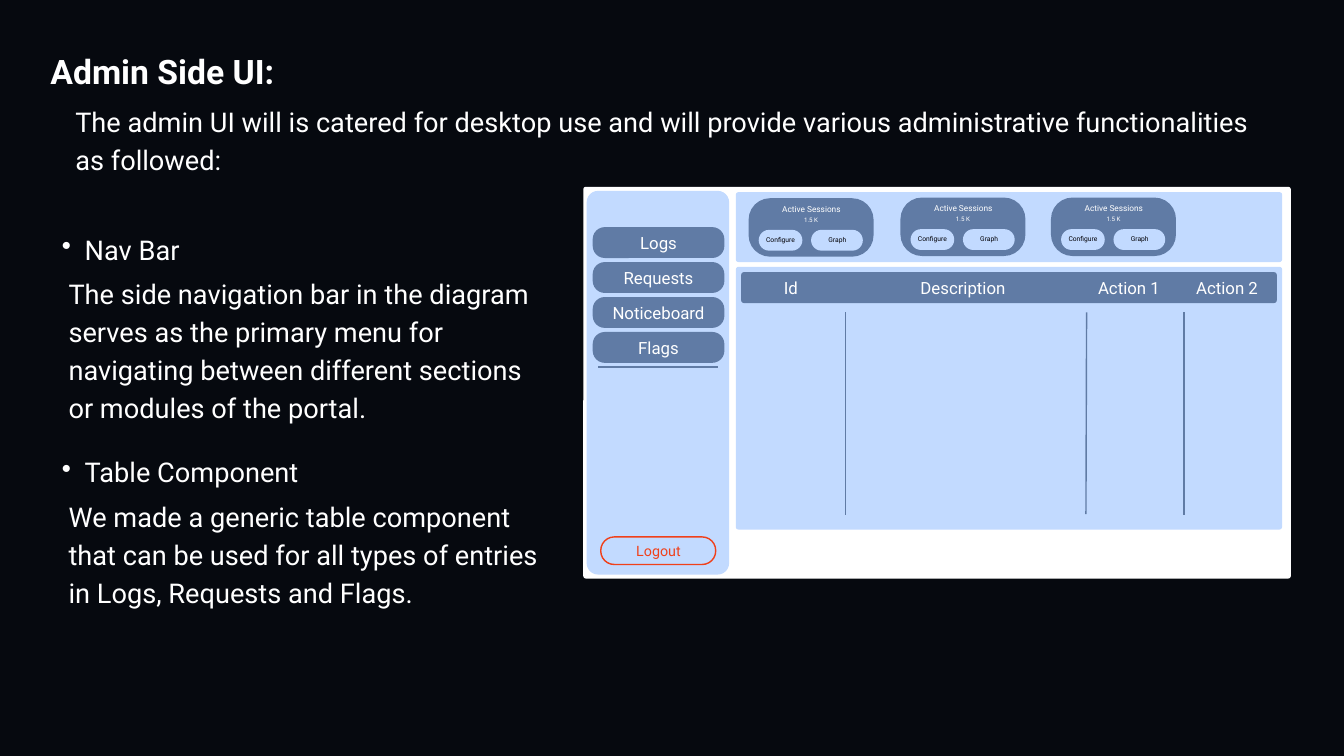
import pptx
import pptx.util
import pptx.dml.color
import pptx.enum.shapes
import pptx.enum.text
import pptx.oxml.ns
from lxml import etree

Inches = pptx.util.Inches
Pt = pptx.util.Pt

THEME = {
    "font": "Roboto",
    "back": "06090F", "white": "FFFFFF", "pale": "C2DAFF",
    "slate": "607BA5", "red": "F0401A", "ink": "010005",
    "title": 36.1, "body": 29.1, "menu": 18, "exit": 15.3,
    "card": 8.9, "count": 6.6, "button": 7.2,
    "lead": 1.4, "line": 1.5,
}

TITLE = ("Admin Side UI:", (0.75, 0.65, 13.2, 0.68))
BODY = [
    ("The admin UI will is catered for desktop use and will provide various "
     "administrative functionalities as followed:", (1.12, 1.48, 17.75, 1.12)),
    ("The side navigation bar in the diagram serves as the primary menu for "
     "navigating between different sections or modules of the portal.",
     (1.02, 4.04, 7.21, 2.24)),
    ("We made a generic table component that can be used for all types of "
     "entries in Logs, Requests and Flags.", (1.02, 7.36, 7.21, 1.68)),
]
BULLETS = [
    ("Nav Bar", (0.57, 3.39, 3.31, 0.55)),
    ("Table Component", (0.57, 6.7, 4.79, 0.55)),
]
PANELS = [
    ((8.68, 2.78, 10.53, 5.83), 0.04, "white"),
    ((8.73, 2.84, 2.12, 5.71), 0.17, "pale"),
    ((10.95, 2.86, 8.13, 1.04), 0.04, "pale"),
    ((10.95, 3.97, 8.13, 3.91), 0.04, "pale"),
    ((11.03, 4.05, 7.97, 0.46), 0.04, "slate"),
]
MENU = ["Logs", "Requests", "Noticeboard", "Flags"]
EXIT = "Logout"
HEADS = [("Id", 10.95), ("Description", 13.51), ("Action 1", 15.98), ("Action 2", 17.44)]
RULES = [
    (8.9, 5.46, 10.69, 5.46),
    (12.58, 4.65, 12.58, 7.66),
    (16.17, 4.65, 16.16, 7.65),
    (17.62, 4.65, 17.62, 7.66),
]
CARDS = [(11.14, 2.95), (13.4, 2.94), (15.64, 2.94)]
CARD_PILLS = [(0.15, 0.47, 0.65, 0.31), (0.93, 0.47, 0.77, 0.31)]
CARD_TEXT = [
    ("Active Sessions", (0.45, 0.06, 0.97, 0.17), "card", "white"),
    ("1.5 K", (0.63, 0.25, 0.6, 0.13), "count", "white"),
    ("Configure", (0.15, 0.54, 0.65, 0.14), "button", "ink"),
    ("Graph", (1.06, 0.54, 0.52, 0.14), "button", "ink"),
]


def color(name):
    return pptx.dml.color.RGBColor.from_string(THEME[name])


def place(box):
    return [Inches(side) for side in box]


def add_text(slide, text, box, size, tint="white", center=False, bullet=False):
    frame = slide.shapes.add_textbox(*place(box)).text_frame
    frame.word_wrap = True
    frame.margin_left = frame.margin_right = 0
    frame.margin_top = frame.margin_bottom = 0
    frame.text = text
    para = frame.paragraphs[0]
    para.line_spacing = Pt(round(THEME[size] * THEME["lead"], 1))
    if center:
        para.alignment = pptx.enum.text.PP_ALIGN.CENTER
    if bullet:
        para.level = 1
        props = para._p.get_or_add_pPr()
        props.set("marL", str(Inches(0.69)))
        props.set("indent", str(Inches(-0.34)))
        mark = etree.SubElement(props, pptx.oxml.ns.qn("a:buChar"))
        mark.set("char", "•")
    font = para.runs[0].font
    font.name = THEME["font"]
    font.size = Pt(THEME[size])
    font.bold = size == "title"
    font.color.rgb = color(tint)


def add_panel(slide, box, radius, fill, edge=None):
    kind = pptx.enum.shapes.MSO_SHAPE.ROUNDED_RECTANGLE
    shape = slide.shapes.add_shape(kind, *place(box))
    shape.adjustments[0] = min(0.5, radius / min(box[2:]))
    shape.shadow.inherit = False
    shape.fill.solid()
    shape.fill.fore_color.rgb = color(fill)
    if edge:
        shape.line.color.rgb = color(edge)
        shape.line.width = Pt(THEME["line"])
    else:
        shape.line.fill.background()


def add_rule(slide, ends):
    kind = pptx.enum.shapes.MSO_CONNECTOR.STRAIGHT
    rule = slide.shapes.add_connector(kind, *place(ends))
    rule.line.color.rgb = color("slate")
    rule.line.width = Pt(THEME["line"])
    etree.SubElement(rule._element.spPr, pptx.oxml.ns.qn("a:effectLst"))


def add_card(slide, left, top):
    add_panel(slide, (left, top, 1.86, 0.87), 0.32, "slate")
    for x, y, wide, high in CARD_PILLS:
        add_panel(slide, (left + x, top + y, wide, high), high / 2, "pale")
    for text, (x, y, wide, high), size, tint in CARD_TEXT:
        add_text(slide, text, (left + x, top + y, wide, high), size, tint, center=True)


def main():
    deck = pptx.Presentation()
    deck.slide_width = Inches(20)
    deck.slide_height = Inches(11.25)
    slide = deck.slides.add_slide(deck.slide_layouts[6])
    slide.background.fill.solid()
    slide.background.fill.fore_color.rgb = color("back")

    add_text(slide, *TITLE, "title")
    for text, box in BODY:
        add_text(slide, text, box, "body")
    for text, box in BULLETS:
        add_text(slide, text, box, "body", bullet=True)

    for box, radius, fill in PANELS:
        add_panel(slide, box, radius, fill)
    for row, text in enumerate(MENU):
        top = 3.38 + row * 0.52
        add_panel(slide, (8.82, top, 1.96, 0.46), 0.18, "slate")
        add_text(slide, text, (8.98, top + 0.04, 1.64, 0.34), "menu", center=True)
    add_panel(slide, (8.94, 7.99, 1.71, 0.41), 0.2, "pale", "red")
    add_text(slide, EXIT, (8.9, 8.02, 1.8, 0.3), "exit", "red", center=True)

    for ends in RULES:
        add_rule(slide, ends)
    for text, left in HEADS:
        add_text(slide, text, (left, 4.09, 1.64, 0.34), "menu", center=True)
    for left, top in CARDS:
        add_card(slide, left, top)

    deck.save("out.pptx")


if __name__ == "__main__":
    main()
